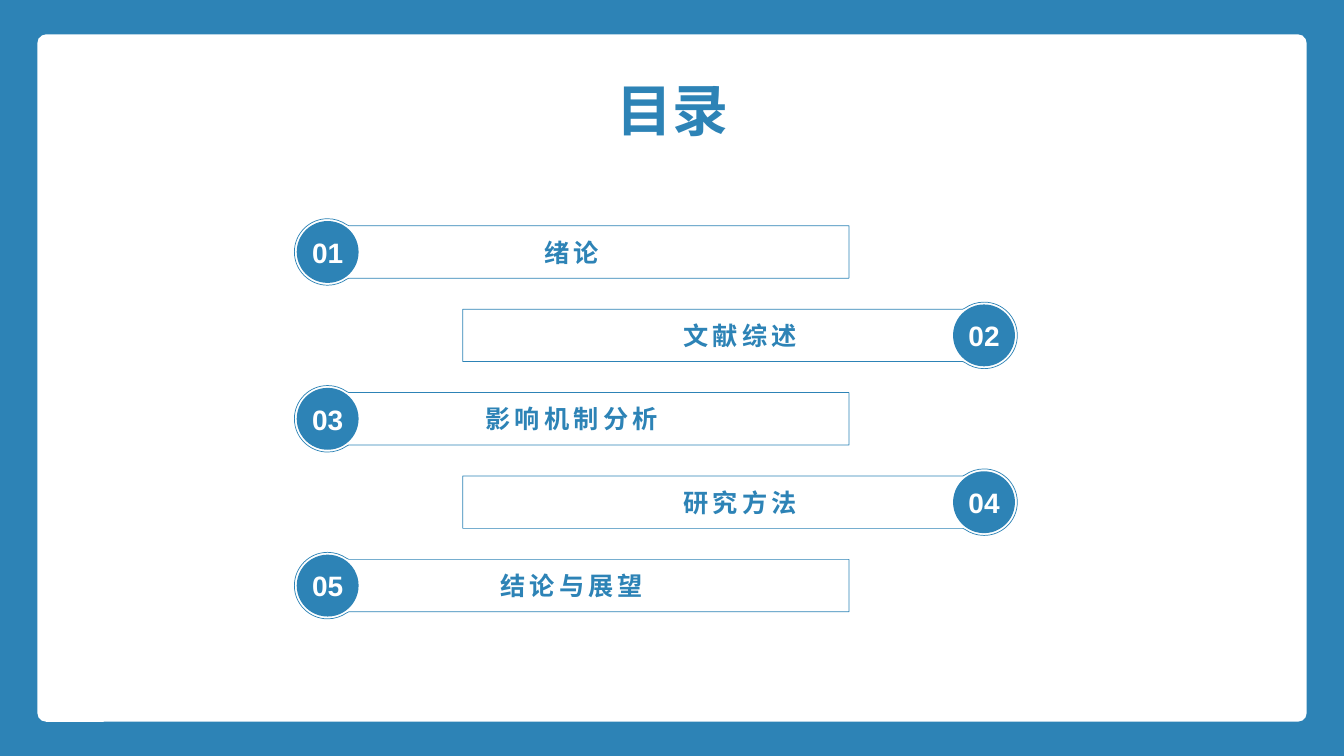
"""Build a contents slide with alternating numbered bars."""
import math
from dataclasses import dataclass

import pptx
import pptx.dml.color
import pptx.enum.shapes
import pptx.enum.text
import pptx.oxml.ns
import pptx.util
from lxml import etree

SHAPES = pptx.enum.shapes.MSO_SHAPE
CHAPTERS = ["绪论", "文献综述", "影响机制分析", "研究方法", "结论与展望"]


@dataclass(frozen=True)
class Theme:
    """Colours, fonts and type sizes."""
    blue: str = "2D83B6"
    white: str = "FFFFFF"
    heading_font: str = "Noto Sans CJK SC"
    number_font: str = "Arial"
    title_size: int = 40
    chapter_size: int = 18
    number_size: int = 20


@dataclass(frozen=True)
class Box:
    """A rectangle in inches."""
    left: float
    top: float
    width: float
    height: float

    def emu(self):
        """Return the four lengths for python-pptx."""
        return [pptx.util.Inches(v) for v in (self.left, self.top, self.width, self.height)]


THEME = Theme()
PAGE = Box(0, 0, 13.33, 7.5)
LIST = Box(2.92, 2.17, 7.17, 3.97)
BAR_WIDTH = 5.5
BAR_HEIGHT = 0.52
RING_RADIUS = 0.33
DISC_RADIUS = 0.3


def color(value):
    """Turn a hex string into a colour."""
    return pptx.dml.color.RGBColor.from_string(value)


def paint(shape, fill=None, line=None, weight=0.5):
    """Set fill and outline, without a shadow."""
    shape.shadow.inherit = False
    if fill:
        shape.fill.solid()
        shape.fill.fore_color.rgb = color(fill)
    else:
        shape.fill.background()
    if line:
        shape.line.color.rgb = color(line)
        shape.line.width = pptx.util.Pt(weight)
    else:
        shape.line.fill.background()


def write(shape, text, size, ink, font, spacing=0, inset=True):
    """Put one centred bold line into a shape."""
    frame = shape.text_frame
    frame.text = text
    frame.vertical_anchor = pptx.enum.text.MSO_ANCHOR.MIDDLE
    frame.word_wrap = True
    if not inset:
        frame.margin_left = frame.margin_right = frame.margin_top = frame.margin_bottom = 0
    para = frame.paragraphs[0]
    para.alignment = pptx.enum.text.PP_ALIGN.CENTER
    span = para.runs[0]
    span.font.size = pptx.util.Pt(size)
    span.font.bold = True
    span.font.color.rgb = color(ink)
    span.font.name = font
    properties = span.font._element
    etree.SubElement(properties, pptx.oxml.ns.qn("a:ea")).set("typeface", font)
    if spacing:
        properties.set("spc", str(spacing * 100))


def add_frame(page, box):
    """Draw the blue border and the rounded white panel."""
    border = page.shapes.add_shape(SHAPES.RECTANGLE, *box.emu())
    paint(border, THEME.blue)
    side, edge = 0.37, 0.34
    inner = Box(box.left + side, box.top + edge, box.width - 2 * side, box.height - 2 * edge)
    panel = page.shapes.add_shape(SHAPES.ROUNDED_RECTANGLE, *inner.emu())
    panel.adjustments[0] = 0.013
    paint(panel, THEME.white)


def add_title(page, box):
    """Write the heading."""
    title = page.shapes.add_textbox(*box.emu())
    write(title, "目录", THEME.title_size, THEME.blue, THEME.heading_font, inset=False)
    title.text_frame.vertical_anchor = pptx.enum.text.MSO_ANCHOR.TOP
    title.text_frame.word_wrap = False
    title.text_frame.auto_size = pptx.enum.text.MSO_AUTO_SIZE.SHAPE_TO_FIT_TEXT


def add_bar(page, box, mirrored):
    """Draw a bar outline whose number end is rounded by curves."""
    def place(x, y):
        """Map an offset from the ring centre to the slide."""
        across = box.width - RING_RADIUS - x if mirrored else RING_RADIUS + x
        return (pptx.util.Inches(box.left + across),
                pptx.util.Inches(box.top + box.height / 2 + y))

    def on_ring(angle, handle=0.0):
        """Return a ring point, moved along its tangent by a handle."""
        return place(RING_RADIUS * (math.cos(angle) - handle * math.sin(angle)),
                     RING_RADIUS * (math.sin(angle) + handle * math.cos(angle)))

    quarter = math.pi / 2
    joint = math.asin(0.27 / RING_RADIUS)
    neck, far, half = 0.21, box.width - RING_RADIUS, BAR_HEIGHT / 2
    corners = [place(neck, -half), place(far, -half), place(far, half), place(neck, half)]
    points = [on_ring(-joint), *corners, on_ring(joint),
              on_ring(quarter), on_ring(2 * quarter), on_ring(-quarter)]
    builder = page.shapes.build_freeform(*on_ring(-quarter), scale=1.0)
    builder.add_line_segments(points, close=True)
    bar = builder.convert_to_shape()
    segments = list(bar._element.iter(pptx.oxml.ns.qn("a:lnTo")))
    arcs = {0: (-quarter, -joint), 6: (joint, quarter),
            7: (quarter, 2 * quarter), 8: (2 * quarter, 3 * quarter)}
    for index, (start, stop) in arcs.items():
        handle = 4 / 3 * math.tan((stop - start) / 4)
        segment = segments[index]
        curve = etree.Element(pptx.oxml.ns.qn("a:cubicBezTo"))
        for x, y in (on_ring(start, handle), on_ring(stop, -handle)):
            point = etree.SubElement(curve, pptx.oxml.ns.qn("a:pt"))
            point.set("x", str(x - bar.left))
            point.set("y", str(y - bar.top))
        curve.append(segment[0])
        segment.getparent().replace(segment, curve)
    paint(bar, line=THEME.blue)
    return bar


def add_chapter(page, box, number, name, mirrored):
    """Draw one bar with its name, disc and number."""
    bar = add_bar(page, box, mirrored)
    write(bar, name, THEME.chapter_size, THEME.blue, THEME.heading_font, spacing=3)
    center = box.left + (box.width - RING_RADIUS if mirrored else RING_RADIUS)
    middle = box.top + box.height / 2
    disc_box = Box(center - DISC_RADIUS, middle - DISC_RADIUS, 2 * DISC_RADIUS, 2 * DISC_RADIUS)
    disc = page.shapes.add_shape(SHAPES.OVAL, *disc_box.emu())
    paint(disc, THEME.blue, THEME.blue, 1)
    label = page.shapes.add_textbox(*Box(center - 0.27, middle - 0.2, 0.54, 0.4).emu())
    write(label, f"{number:02d}", THEME.number_size, THEME.white, THEME.number_font, inset=False)


def add_contents(page, box):
    """Stack the chapters, alternating left and right."""
    height = 2 * RING_RADIUS
    pitch = (box.height - height) / (len(CHAPTERS) - 1)
    for row, name in enumerate(CHAPTERS):
        mirrored = row % 2 == 1
        left = box.left + (box.width - BAR_WIDTH if mirrored else 0)
        add_chapter(page, Box(left, box.top + row * pitch, BAR_WIDTH, height),
                    row + 1, name, mirrored)


def main():
    """Create and save the deck."""
    deck = pptx.Presentation()
    deck.slide_width = pptx.util.Inches(PAGE.width)
    deck.slide_height = pptx.util.Inches(PAGE.height)
    page = deck.slides.add_slide(deck.slide_layouts[6])
    add_frame(page, PAGE)
    add_title(page, Box(6.11, 0.75, 1.12, 0.67))
    add_contents(page, LIST)
    deck.save("out.pptx")


if __name__ == "__main__":
    main()
